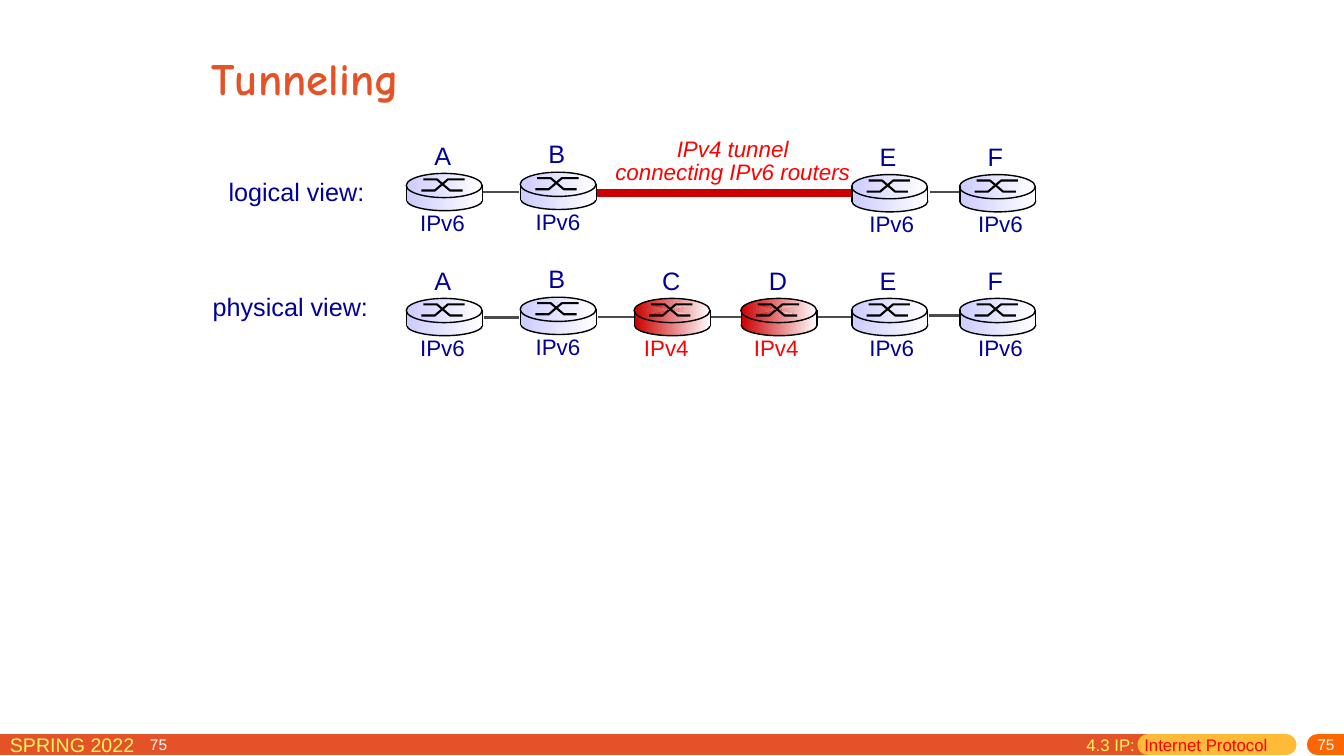
from lxml import etree
from pptx import Presentation
from pptx.dml.color import RGBColor
from pptx.enum.shapes import MSO_CONNECTOR, MSO_SHAPE
from pptx.enum.text import MSO_ANCHOR, MSO_AUTO_SIZE, PP_ALIGN
from pptx.oxml.ns import qn
from pptx.util import Cm, Pt

STRAIGHT = MSO_CONNECTOR.STRAIGHT
ELLIPSE, RECTANGLE = MSO_SHAPE.OVAL, MSO_SHAPE.RECTANGLE
TOP, MIDDLE = MSO_ANCHOR.TOP, MSO_ANCHOR.MIDDLE
LEFT, CENTER, RIGHT = PP_ALIGN.LEFT, PP_ALIGN.CENTER, PP_ALIGN.RIGHT

COLORS = {
    "title": "E45327", "amber": "FFBA37", "orange": "FF6600", "yellow": "FFF65C",
    "white": "FFFFFF", "black": "000000", "link": "4C4C4C",
    "navy": "000099", "red": "FF0000", "tunnel": "CC0000", "lavender": "CCCCFF",
}

# Router columns: left edge, offset of the protocol tag
COLUMNS = {
    "A": (10.24, 0.1), "B": (13.11, 0.14), "C": (15.98, 0),
    "D": (18.67, 0.08), "E": (21.46, 0.2), "F": (24.18, 0.22),
}
LOGICAL_TOPS = {"A": 4.37, "B": 4.34, "E": 4.4, "F": 4.4}
PHYSICAL_TOPS = {"A": 7.52, "B": 7.49, "C": 7.52, "D": 7.52, "E": 7.52, "F": 7.52}
LINKS = [
    (12.17, 13.08, 4.83), (23.44, 24.33, 4.83),
    (12.19, 13.08, 8), (15.06, 21.51, 7.98), (23.42, 24.33, 7.95),
]
CROSSING = [
    [(0.38, 0.43), (0.72, 0.43), (1.05, 0.15), (1.47, 0.15)],
    [(0.43, 0.15), (0.77, 0.15), (1.1, 0.43), (1.42, 0.43)],
]


def rgb(color):
    return RGBColor.from_string(COLORS[color])


class Diagram:
    font = "Arial"

    def __init__(self, slide):
        self.slide = slide

    def text(self, box, paragraphs, size, font=None, bold=False, italic=False,
             align=LEFT, anchor=TOP, wrap=False, spacing=None, tight=False):
        """Each paragraph is a list of (words, color) runs."""
        frame = self.slide.shapes.add_textbox(*map(Cm, box)).text_frame
        frame.word_wrap = wrap
        frame.auto_size = MSO_AUTO_SIZE.NONE if wrap else MSO_AUTO_SIZE.SHAPE_TO_FIT_TEXT
        frame.vertical_anchor = anchor
        if tight:
            frame.margin_top = 0
        for index, runs in enumerate(paragraphs):
            paragraph = frame.add_paragraph() if index else frame.paragraphs[0]
            paragraph.alignment = align
            if spacing:
                paragraph.line_spacing = spacing
            for words, color in runs:
                run = paragraph.add_run()
                run.text = words
                run.font.name = font or self.font
                run.font.size = Pt(size)
                run.font.bold = bold
                run.font.italic = italic
                run.font.color.rgb = rgb(color)

    def line(self, start, end, color, width, round_cap=False):
        connector = self.slide.shapes.add_connector(STRAIGHT, *map(Cm, start + end))
        connector.line.color.rgb = rgb(color)
        connector.line.width = Pt(width)
        if round_cap:
            connector.line._get_or_add_ln().set("cap", "rnd")
        etree.SubElement(connector._element.spPr, qn("a:effectLst"))

    def fade(self, shape, color):
        """Fill from the color at the left to white at the right."""
        shape.fill.gradient()
        shape.fill.gradient_angle = 0
        for stop, position, name in zip(shape.fill.gradient_stops, (0, 1), (color, "white")):
            stop.position = position
            stop.color.rgb = rgb(name)

    def outline(self, shape, color, width):
        shape.shadow.inherit = False
        if color:
            shape.line.color.rgb = rgb(color)
            shape.line.width = Pt(width)
        else:
            shape.line.fill.background()

    def faded_shape(self, kind, box, color, edge):
        shape = self.slide.shapes.add_shape(kind, *map(Cm, box))
        self.fade(shape, color)
        self.outline(shape, edge, 1)

    def bar(self, box, color):
        shape = self.slide.shapes.add_shape(RECTANGLE, *map(Cm, box))
        shape.fill.solid()
        shape.fill.fore_color.rgb = rgb(color)
        self.outline(shape, color, 0.75)

    def polyline(self, points, fade_color=None):
        first, *rest = [(Cm(x), Cm(y)) for x, y in points]
        builder = self.slide.shapes.build_freeform(*first)
        builder.add_line_segments(rest, close=False)
        shape = builder.convert_to_shape()
        if fade_color:
            self.fade(shape, fade_color)
        else:
            shape.fill.background()
        self.outline(shape, "black", 1.5)

    def router(self, name, top):
        left, tag_offset = COLUMNS[name]
        is_ipv4 = name in "CD"
        body = "tunnel" if is_ipv4 else "lavender"
        protocol = ("IPv4", "red") if is_ipv4 else ("IPv6", "navy")

        self.faded_shape(ELLIPSE, (left + 0.01, top + 0.41, 1.91, 0.53), body, "black")
        self.faded_shape(RECTANGLE, (left + 0.02, top + 0.36, 1.92, 0.33), body, None)
        self.faded_shape(ELLIPSE, (left, top, 1.91, 0.61), body, "black")
        for strand in CROSSING:
            self.polyline([(left + x, top + y) for x, y in strand],
                          body if is_ipv4 else None)
        for side in (left + 0.01, left + 1.92):
            self.line((side, top + 0.29), (side, top + 0.7), "black", 1)
        self.text((left + 0.46, top - 0.97, 0.94, 1.02), [[(name, "navy")]], 18)
        self.text((left + tag_offset, top + 0.78, 1.65, 0.94), [[protocol]], 16)


def main():
    deck = Presentation()
    deck.slide_width, deck.slide_height = Cm(33.87), Cm(19.05)
    diagram = Diagram(deck.slides.add_slide(deck.slide_layouts[6]))

    # Footer
    for start, end, color, round_cap in [
        (-0.46, 28.93, "title", False),
        (28.93, 32.41, "amber", True),
        (33.2, 34.54, "orange", True),
    ]:
        diagram.line((start, 18.77), (end, 18.77), color, 15, round_cap)
    diagram.text((0, 18.34, 5.82, 0.79), [[("SPRING 2022", "yellow")]], 14, wrap=True)
    for box, align in [((27.3, 18.59, 6.58, 0.46), RIGHT), ((3.53, 18.62, 1.4, 0.38), LEFT)]:
        diagram.text(box, [[("75", "white")]], 11, align=align,
                     anchor=MIDDLE, wrap=True, tight=True)
    diagram.text((27.13, 18.39, 5.59, 0.79),
                 [[("4.3 IP: ", "yellow"), (" Internet Protocol", "red")]], 12, wrap=True)

    # Title and view names
    diagram.text((5.08, 0.58, 21.59, 2.74), [[("Tunneling", "title")]], 32,
                 font="Comic Neue", bold=True, anchor=MIDDLE, wrap=True)
    diagram.text((5.51, 4.32, 3.94, 1.02), [[("logical view:", "navy")]], 18)
    diagram.text((5.11, 7.21, 4.42, 1.02), [[("physical view:", "navy")]], 18)

    # Tunnel, links and routers
    diagram.bar((14.94, 4.78, 6.68, 0.18), "tunnel")
    diagram.text((15.24, 3.38, 6.45, 1.42),
                 [[("IPv4 tunnel", "red")], [("connecting IPv6 routers", "red")]],
                 16, italic=True, align=CENTER, spacing=0.85)
    for start, end, y in LINKS:
        diagram.line((start, y), (end, y), "link", 1.5)
    for tops in (LOGICAL_TOPS, PHYSICAL_TOPS):
        for name, top in tops.items():
            diagram.router(name, top)

    deck.save("out.pptx")


if __name__ == "__main__":
    main()
